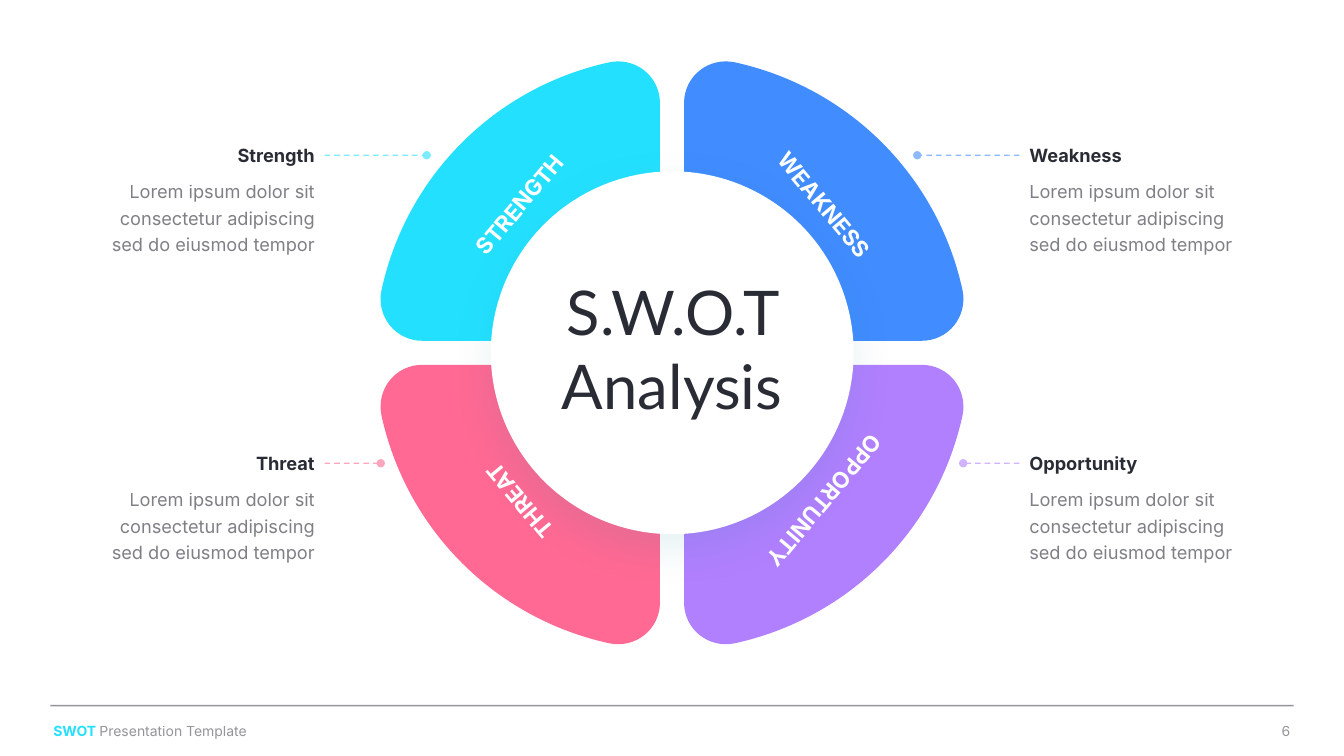
"""Build a one-slide SWOT wheel with four callouts."""
from lxml import etree
from pptx import Presentation
from pptx.dml.color import RGBColor
from pptx.enum.dml import MSO_LINE
from pptx.enum.shapes import MSO_CONNECTOR, MSO_SHAPE
from pptx.enum.text import MSO_ANCHOR, PP_ALIGN
from pptx.oxml.ns import qn
from pptx.util import Pt

LEFT, CENTER, RIGHT = PP_ALIGN.LEFT, PP_ALIGN.CENTER, PP_ALIGN.RIGHT
TOP = MSO_ANCHOR.TOP
STRAIGHT, OVAL, DASH = MSO_CONNECTOR.STRAIGHT, MSO_SHAPE.OVAL, MSO_LINE.DASH

INK, WHITE, CYAN = "292C35", "FFFFFF", "24E0FF"
BODY = "Lorem ipsum dolor sit consectetur adipiscing sed do eiusmod tempor"
# name, colour, horizontal side, vertical side, label angle, title width, pointer end
QUADRANTS = [
    ("Weakness", "418CFF", 1, -1, 50, 82, 175.2),
    ("Threat", "FF6994", -1, 1, 230, 57.6, 208),
    ("Strength", CYAN, -1, -1, 310, 71.3, 175.2),
    ("Opportunity", "B180FF", 1, 1, 130, 92.9, 208),
]
FOOTER = [("SWOT ", CYAN, True, 100), ("Presentation Template", INK, False, 50)]

CENTER_X, CENTER_Y = 480, 252
HUB_RADIUS = 129.6
COLUMN_OFFSET, BODY_WIDTH = 248.2, 172.8
CALLOUT_TOPS = {-1: 99.4, 1: 319.4}
LABEL_WIDTH, LABEL_HEIGHT = 157, 125.3
LABEL_OFFSET_X, LABEL_OFFSET_Y = 71, 74.2
PETAL_START = (25.4, -56.2)
PETAL_SEGMENTS = [
    [(39.1, -49.7), (49.9, -39), (56, -25.6)],
    [(60.9, -15.1), (71.3, -8.6), (82.8, -8.6)],
    [(178.3, -8.6)],
    [(197.5, -8.6), (211.4, -26), (207.5, -44.8)],
    [(189.6, -126.5), (126.5, -189.6), (44.8, -207.5)],
    [(26, -211.4), (8.6, -197.5), (8.6, -178.3)],
    [(8.6, -82.8)],
    [(8.6, -71.3), (15.1, -60.9), PETAL_START],
]

presentation = Presentation()
presentation.slide_width, presentation.slide_height = Pt(960), Pt(540)
slide = presentation.slides.add_slide(presentation.slide_layouts[6])
shapes = slide.shapes


def paint(fill, element, color, opacity=100):
    """Apply a solid colour and opacity to a fill held by an element."""
    fill.solid()
    fill.fore_color.rgb = RGBColor.from_string(color)
    if opacity < 100:
        node = next(element.iter(qn("a:srgbClr")))
        etree.SubElement(node, qn("a:alpha"), val=str(opacity * 1000))


def add_text(text, left, top, width, height, size=13, font="Inter", color=INK,
             bold=False, opacity=100, align=LEFT, spacing=None, wrap=True, angle=0):
    """Add a text box; text is a string or a list of formatted runs."""
    box = shapes.add_textbox(Pt(left), Pt(top), Pt(width), Pt(height))
    box.rotation = angle
    frame = box.text_frame
    frame.word_wrap, frame.vertical_anchor = wrap, TOP
    paragraph = frame.paragraphs[0]
    paragraph.alignment = align
    if spacing:
        paragraph.line_spacing = spacing
    runs = [(text, color, bold, opacity)] if isinstance(text, str) else text
    for words, run_color, run_bold, run_opacity in runs:
        run = paragraph.add_run()
        run.text = words
        run.font.name, run.font.size, run.font.bold = font, Pt(size), run_bold
        paint(run.font.fill, run._r, run_color, run_opacity)


def add_line(x1, y1, x2, y2, color, opacity, pointer=False):
    """Add a line, dashed with a dot at its end when it is a pointer."""
    line = shapes.add_connector(STRAIGHT, Pt(x1), Pt(y1), Pt(x2), Pt(y2))
    line.line.width = Pt(1)
    paint(line.line.fill, line._element, color, opacity)
    if pointer:
        line.line.dash_style = DASH
        etree.SubElement(line.line._get_or_add_ln(), qn("a:tailEnd"), type="oval")
    etree.SubElement(line._element.spPr, qn("a:effectLst"))


def add_petal(color, side_x, side_y):
    """Add the petal mirrored into one quadrant, with true curves."""
    def place(point):
        return Pt(CENTER_X + side_x * point[0]), Pt(CENTER_Y - side_y * point[1])

    builder = shapes.build_freeform(*place(PETAL_START))
    builder.add_line_segments([place(segment[-1]) for segment in PETAL_SEGMENTS], close=True)
    petal = builder.convert_to_shape()
    sides = list(petal._element.iter(qn("a:lnTo")))
    for side, segment in zip(sides, PETAL_SEGMENTS):
        if len(segment) == 3:
            curve = etree.Element(qn("a:cubicBezTo"))
            for x, y in map(place, segment):
                etree.SubElement(curve, qn("a:pt"), x=str(x - petal.left), y=str(y - petal.top))
            side.getparent().replace(side, curve)
    petal.shadow.inherit = False
    paint(petal.fill, petal._element, color)
    petal.line.fill.background()


def add_hub():
    """Add the white centre disc with its soft shadow."""
    hub = shapes.add_shape(OVAL, Pt(CENTER_X + 0.2 - HUB_RADIUS), Pt(CENTER_Y - HUB_RADIUS),
                           Pt(2 * HUB_RADIUS), Pt(2 * HUB_RADIUS))
    hub.shadow.inherit = False
    paint(hub.fill, hub._element, WHITE)
    hub.line.fill.background()
    effects = hub._element.spPr.find(qn("a:effectLst"))
    shadow = etree.SubElement(effects, qn("a:outerShdw"), blurRad=str(Pt(30)),
                              dist=str(Pt(10)), dir="5400000", algn="ctr", rotWithShape="0")
    tint = etree.SubElement(shadow, qn("a:srgbClr"), val="007D92")
    etree.SubElement(tint, qn("a:alpha"), val="10000")


def add_callout(name, color, side_x, side_y, title_width, pointer_end):
    """Add the title, body and pointer beside one petal."""
    edge = CENTER_X + side_x * COLUMN_OFFSET
    top = CALLOUT_TOPS[side_y]
    align = LEFT if side_x > 0 else RIGHT
    title_left, body_left = (edge if side_x > 0 else edge - width
                             for width in (title_width, BODY_WIDTH))
    add_text(name, title_left, top, title_width, 23, bold=True, align=align, wrap=False)
    add_text(BODY, body_left, top + 23, BODY_WIDTH, 62.6, opacity=60, align=align, spacing=1.2)
    add_line(edge, top + 11.5, CENTER_X + side_x * pointer_end, top + 11.5, color, 60, True)


add_line(36, 504, 924, 504, INK, 50)
add_text(FOOTER, 31, 512.6, 211.7, 19.4, size=10)
add_text("6", 881.3, 512.6, 47.5, 19.4, size=10, opacity=50, align=RIGHT)

for name, color, side_x, side_y, angle, title_width, pointer_end in QUADRANTS:
    add_petal(color, side_x, side_y)
for name, color, side_x, side_y, angle, title_width, pointer_end in QUADRANTS:
    add_text(name.upper(), CENTER_X + side_x * LABEL_OFFSET_X - LABEL_WIDTH / 2,
             CENTER_Y + side_y * LABEL_OFFSET_Y - LABEL_HEIGHT / 2, LABEL_WIDTH, LABEL_HEIGHT,
             size=16, color=WHITE, bold=True, align=CENTER, wrap=False, angle=angle)
add_hub()
for name, color, side_x, side_y, angle, title_width, pointer_end in QUADRANTS:
    add_callout(name, color, side_x, side_y, title_width, pointer_end)
add_text("S.W.O.T Analysis", 374.4, 192.2, 211.7, 113.8, size=44, font="Lato", align=CENTER)

presentation.save("out.pptx")
